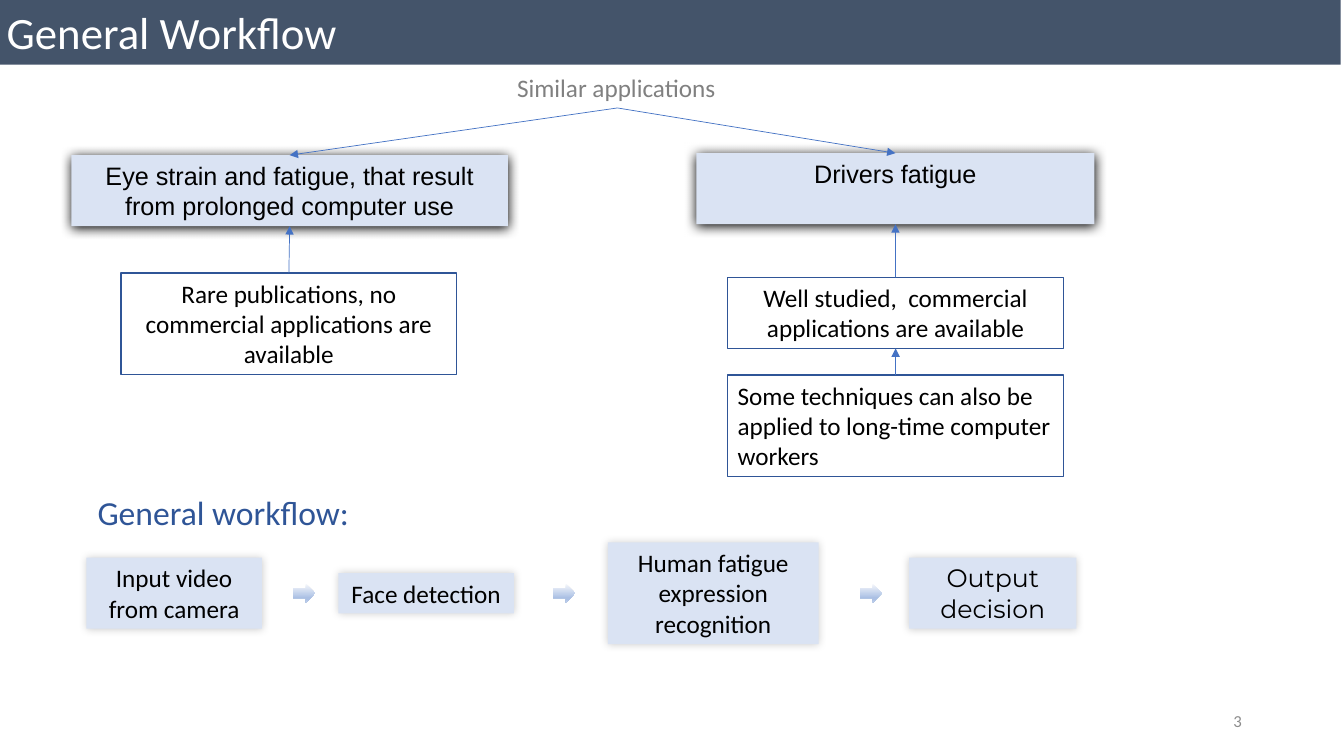
from lxml.etree import SubElement
from pptx import Presentation
from pptx.dml.color import RGBColor
from pptx.enum.shapes import MSO_CONNECTOR as CONN, MSO_SHAPE as SHAPE
from pptx.enum.text import MSO_ANCHOR as ANCHOR, PP_ALIGN as ALIGN
from pptx.oxml.ns import qn
from pptx.util import Cm, Pt

BLACK, WHITE, GREY, NUMBER_GREY = "000000", "FFFFFF", "808080", "8C8C8C"
SLATE, PALE, BLUE, NAVY = "44546A", "DAE3F3", "4472C4", "2F5597"
ARROW_STOPS = [(0, "F6F8FC"), (74, "ABC0E4"), (83, "ABC0E4"), (100, "C7D5ED")]
# Shadow as opacity in percent, blur and distance in points, direction in degrees
STRONG = (100, 8.5, 1, 90)
SOFT = (20, 6, 0, 225)
TOP, BOTTOM = 0, 2


def rgb(color):
    return RGBColor.from_string(color)


def child(parent, tag, **attributes):
    return SubElement(parent, qn(tag), {k: str(v) for k, v in attributes.items()})


def height_for(lines):
    """Height in cm of a box holding this many lines of 18 pt text."""
    return 0.25 + 0.77 * lines


class Diagram:
    font = "Calibri"
    size = 18

    def __init__(self, slide):
        self.shapes = slide.shapes

    def set_text(self, sp, text, color=BLACK, size=None, font=None,
                 align=ALIGN.LEFT, anchor=ANCHOR.TOP, wrap=True):
        tf = sp.text_frame
        tf.word_wrap = wrap
        tf.vertical_anchor = anchor
        p = tf.paragraphs[0]
        p.text = text
        p.alignment = align
        p.font.name = font or self.font
        p.font.size = Pt(size or self.size)
        p.font.color.rgb = rgb(color)

    def label(self, text, x, y, w, h, **style):
        sp = self.shapes.add_textbox(Cm(x), Cm(y), Cm(w), Cm(h))
        self.set_text(sp, text, **style)
        return sp

    def box(self, text, x, y, w, h, fill=None, line=None, shadow=None, **style):
        sp = self.shapes.add_shape(SHAPE.RECTANGLE, Cm(x), Cm(y), Cm(w), Cm(h))
        sp.shadow.inherit = False
        if fill:
            sp.fill.solid()
            sp.fill.fore_color.rgb = rgb(fill)
        else:
            sp.fill.background()
        if line:
            sp.line.color.rgb = rgb(line)
            sp.line.width = Pt(0.75)
        else:
            sp.line.fill.background()
        if shadow:
            self.cast(sp, *shadow)
        self.set_text(sp, text, **style)
        return sp

    def cast(self, sp, opacity, blur, distance, angle):
        """Add an outer shadow to a shape."""
        effects = sp._element.spPr.find(qn("a:effectLst"))
        outer = child(effects, "a:outerShdw", blurRad=int(Pt(blur)), dist=int(Pt(distance)),
                      dir=angle * 60000, algn="ctr", rotWithShape=0)
        color = child(outer, "a:srgbClr", val=BLACK)
        child(color, "a:alpha", val=opacity * 1000)

    def block_arrow(self, x, y, w, h):
        sp = self.shapes.add_shape(SHAPE.RIGHT_ARROW, Cm(x), Cm(y), Cm(w), Cm(h))
        sp.shadow.inherit = False
        sp.line.fill.background()
        sp.fill.gradient()
        sp.fill.gradient_angle = 270
        stops = sp._element.spPr.find(qn("a:gradFill")).find(qn("a:gsLst"))
        for stop in list(stops):
            stops.remove(stop)
        for position, color in ARROW_STOPS:
            stop = child(stops, "a:gs", pos=position * 1000)
            child(stop, "a:srgbClr", val=color)

    def link(self, start, start_side, end, end_side):
        """Join two boxes with a thin line that has an arrowhead at its end."""
        cx = self.shapes.add_connector(CONN.STRAIGHT, 0, 0, 0, 0)
        cx.begin_connect(start, start_side)
        cx.end_connect(end, end_side)
        cx.line.color.rgb = rgb(BLUE)
        cx.line.width = Pt(0.5)
        properties = cx._element.spPr
        child(properties.find(qn("a:ln")), "a:tailEnd", type="triangle")
        child(properties, "a:effectLst")


def main():
    prs = Presentation()
    prs.slide_width, prs.slide_height = Cm(33.87), Cm(19.05)
    s = Diagram(prs.slides.add_slide(prs.slide_layouts[6]))

    s.box("General Workflow", -0.08, 0, 33.87, 1.63, fill=SLATE, color=WHITE, size=32)

    # Similar applications
    root = s.label("Similar applications", 12.78, 1.7, 5.56, height_for(1),
                   color=GREY, wrap=False)
    topic = dict(fill=PALE, shadow=STRONG, font="Arial", align=ALIGN.CENTER)
    eye_strain = s.box("Eye strain and fatigue, that result from prolonged computer use",
                       1.8, 3.91, 11, height_for(2), **topic)
    drivers = s.box("Drivers fatigue", 17.55, 3.86, 10.03, height_for(2), **topic)

    note_w = 8.46
    rare = s.box("Rare publications, no commercial applications are available",
                 3.05, 6.88, note_w, height_for(3), line=NAVY, align=ALIGN.CENTER)
    studied = s.box("Well studied,  commercial applications are available",
                    18.34, 6.99, note_w, height_for(2), line=NAVY, align=ALIGN.CENTER)
    techniques = s.box("Some techniques can also be applied to long-time computer workers",
                       18.34, 9.45, note_w, height_for(3), line=NAVY)

    for topic_box in (eye_strain, drivers):
        s.link(root, BOTTOM, topic_box, TOP)
    for lower, upper in ((rare, eye_strain), (studied, drivers), (techniques, studied)):
        s.link(lower, TOP, upper, BOTTOM)

    # General workflow, every step centred on one line
    s.label("General workflow:", 2.21, 12.27, 7.11, 1.27, color=NAVY, size=24, wrap=False)
    middle = 14.95
    steps = [
        ("Input video from camera", 2.18, 4.42, 2, "Calibri"),
        ("Face detection", 8.53, 4.42, 1, "Calibri"),
        ("Human fatigue expression recognition", 15.32, 5.31, 3, "Calibri"),
        ("Output decision", 22.91, 4.22, 2, "Montserrat"),
    ]
    for text, x, w, lines, font in steps:
        h = height_for(lines)
        s.box(text, x, middle - h / 2, w, h, fill=PALE, shadow=SOFT,
              font=font, align=ALIGN.CENTER)
    arrow_w, arrow_h = 0.56, 0.48
    for x in (7.39, 13.94, 21.67):
        s.block_arrow(x, middle - arrow_h / 2, arrow_w, arrow_h)

    s.label("3", 23.93, 17.65, 7.62, 1.02, color=NUMBER_GREY, size=12,
            align=ALIGN.RIGHT, anchor=ANCHOR.MIDDLE)
    prs.save("out.pptx")


if __name__ == "__main__":
    main()
